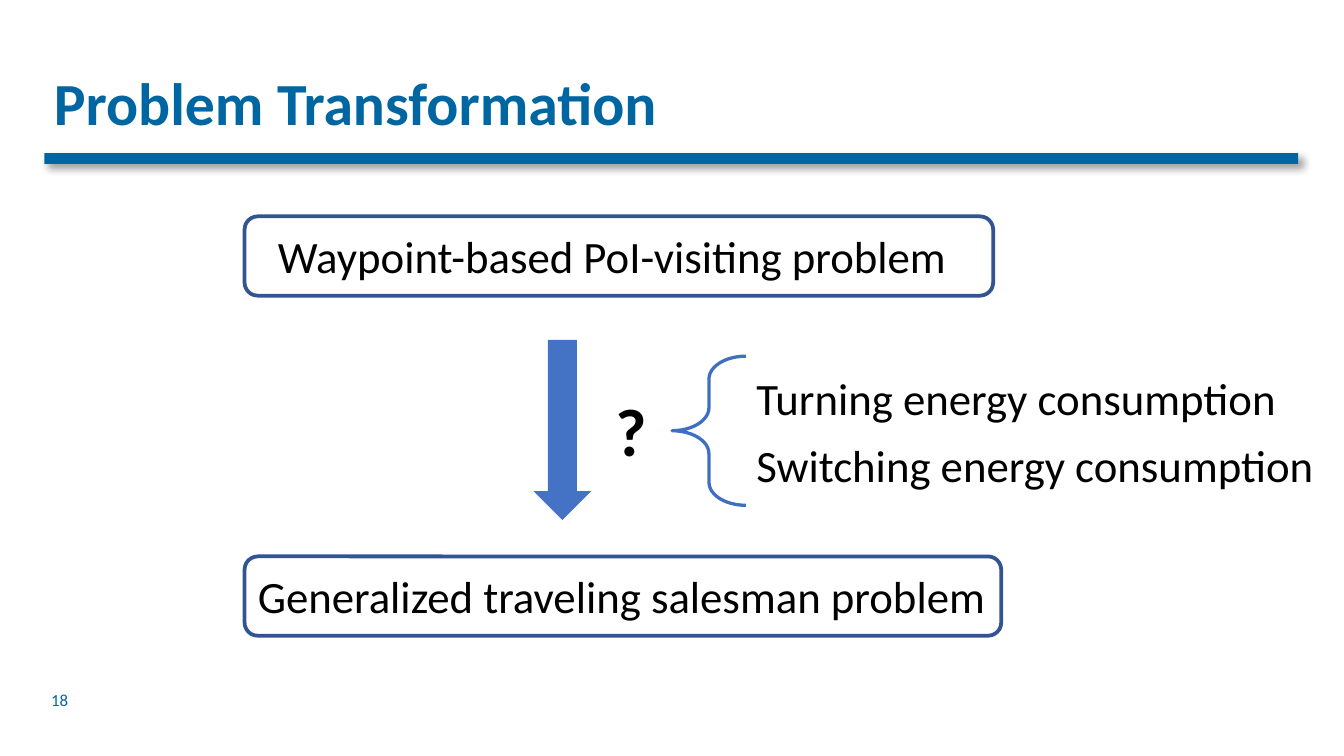
from pptx import Presentation
from pptx.dml.color import RGBColor
from pptx.enum import shapes, text
from pptx.oxml import parse_xml
from pptx.util import Inches, Pt

BLUE = "0066A1"


def rgb(value):
    return RGBColor.from_string(value)


def write(frame, lines, size, color="000000", bold=False, spacing=1.0, **settings):
    for key, value in settings.items():
        setattr(frame, key, value)
    for i, line in enumerate(lines):
        paragraph = frame.paragraphs[0] if i == 0 else frame.add_paragraph()
        paragraph.alignment = text.PP_ALIGN.LEFT
        paragraph.line_spacing = spacing
        run = paragraph.add_run()
        run.text = line
        for key, value in {"name": "Calibri", "size": Pt(size), "bold": bold}.items():
            setattr(run.font, key, value)
        run.font.color.rgb = rgb(color)


prs = Presentation()
prs.slide_width = Inches(10)
prs.slide_height = prs.slide_width * 9 // 16
slide = prs.slides.add_slide(prs.slide_layouts[5])

title = slide.shapes.title
place = {"left": 0.33, "top": 0.46, "width": 9.33, "height": 0.66}
for key, value in place.items():
    setattr(title, key, Inches(value))
margins = {f"margin_{side}": Inches(0.07) for side in ("left", "right", "top", "bottom")}
write(title.text_frame, ["Problem Transformation"], 32, BLUE, True, 0.9,
      vertical_anchor=text.MSO_ANCHOR.MIDDLE, auto_size=text.MSO_AUTO_SIZE.NONE, **margins)

MSO = shapes.MSO_SHAPE
outlines = [
    (MSO.RECTANGLE, (0.33, 1.14, 9.33, 0.08), BLUE, None, 0),
    (MSO.DOWN_ARROW, (3.97, 2.53, 0.43, 1.34), "4472C4", None, 0),
    (MSO.LEFT_BRACE, (5, 2.65, 0.55, 1.11), None, "3F6FC3", 1.75),
    (MSO.ROUNDED_RECTANGLE, (1.82, 1.61, 5.57, 0.59), None, "325491", 2),
    (MSO.ROUNDED_RECTANGLE, (1.82, 4.14, 5.63, 0.59), None, "325491", 2),
]
drawn = []
for kind, box, fill, line, weight in outlines:
    shape = slide.shapes.add_shape(kind, *map(Inches, box))
    shape.shadow.inherit = False
    if fill:
        shape.fill.solid()
        shape.fill.fore_color.rgb = rgb(fill)
    else:
        shape.fill.background()
    if line:
        shape.line.color.rgb = rgb(line)
        shape.line.width = Pt(weight)
    else:
        shape.line.fill.background()
    drawn.append(shape)

title_rule, arrow, brace, *problem_boxes = drawn
brace.adjustments[0] = 0.31

A = "http://schemas.openxmlformats.org/drawingml/2006/main"
effects = title_rule._element.spPr.find(f"{{{A}}}effectLst")
effects.append(parse_xml(
    f'<a:outerShdw xmlns:a="{A}" blurRad="{Pt(4)}" dist="{Pt(3)}" dir="2700000" '
    'algn="tl" rotWithShape="0"><a:srgbClr val="000000"><a:alpha val="40000"/>'
    '</a:srgbClr></a:outerShdw>'))

labels = [
    ((1.97, 1.65, 5.27, 0.5), ["Waypoint-based PoI-visiting problem"], 24, False, 1.0, False),
    ((4.48, 2.85, 0.44, 0.71), ["?"], 36, True, 1.0, False),
    ((5.53, 2.61, 4.47, 1.11),
     ["Turning energy consumption", "Switching energy consumption"], 24, False, 1.25, True),
    ((1.82, 4.18, 6.2, 0.5), ["Generalized traveling salesman problem"], 24, False, 1.0, True),
]
for box, lines, size, bold, spacing, wrap in labels:
    label = slide.shapes.add_textbox(*map(Inches, box))
    write(label.text_frame, lines, size, bold=bold, spacing=spacing, word_wrap=wrap,
          auto_size=text.MSO_AUTO_SIZE.SHAPE_TO_FIT_TEXT)

page_number = slide.shapes.add_textbox(*map(Inches, (0.31, 5.06, 1.69, 0.3)))
margins.update(margin_top=Inches(0.04), margin_bottom=Inches(0.04))
write(page_number.text_frame, ["18"], 9, BLUE, word_wrap=True,
      vertical_anchor=text.MSO_ANCHOR.MIDDLE, **margins)

prs.save("out.pptx")
